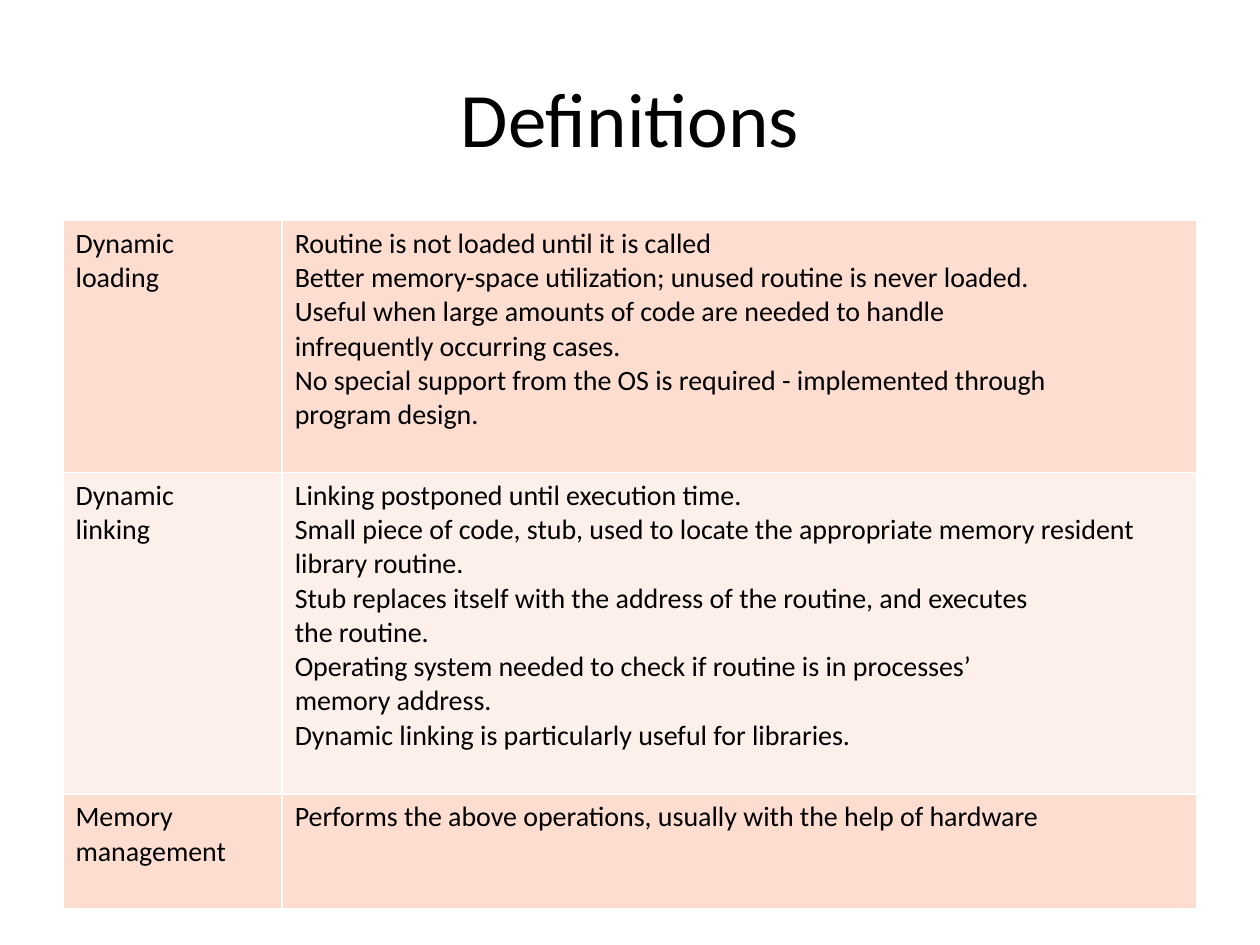
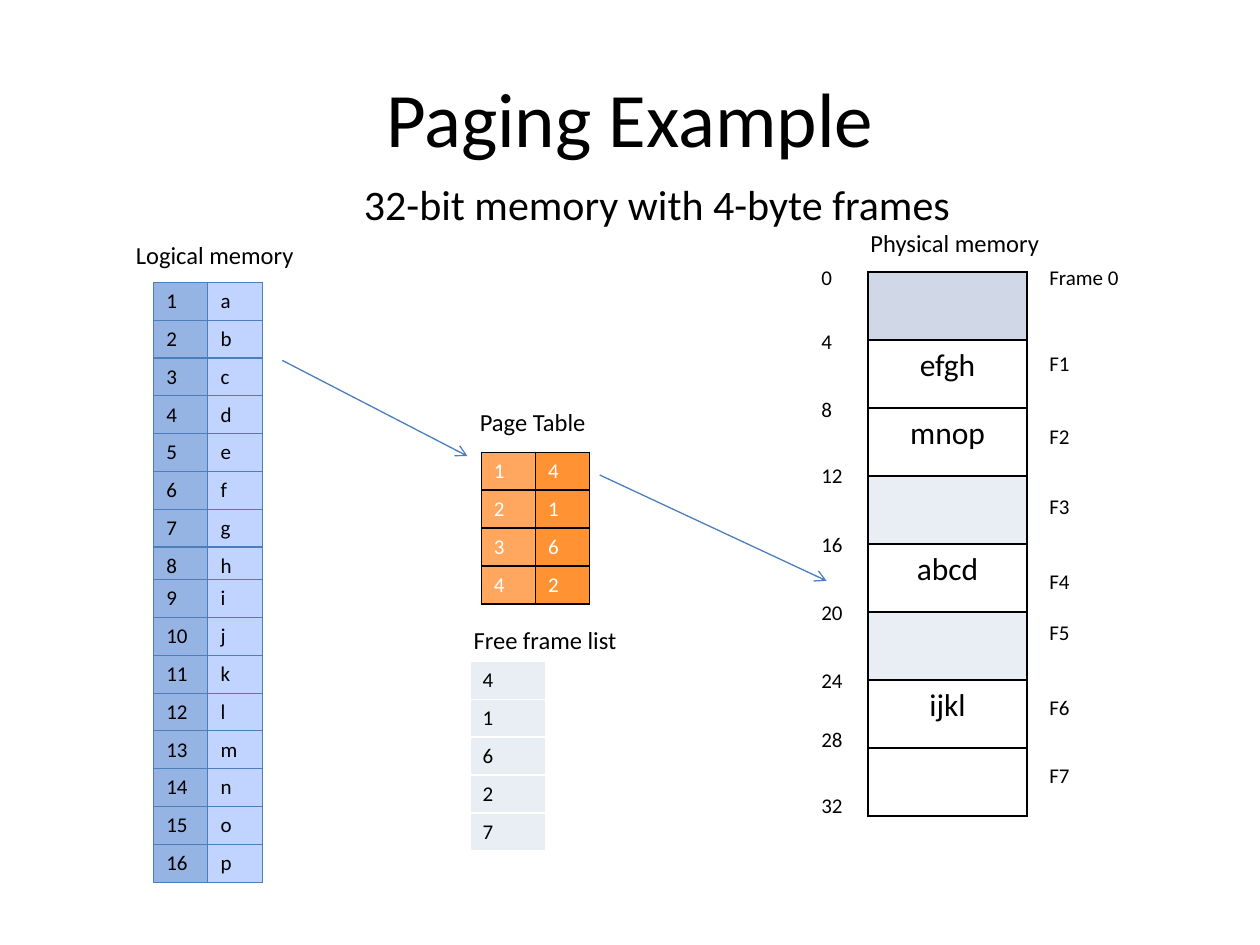
from pptx import Presentation
from pptx.dml.color import RGBColor as RGB
from pptx.enum.shapes import MSO_CONNECTOR as Conn
from pptx.enum.text import MSO_ANCHOR as Anchor, PP_ALIGN as Align
from pptx.oxml import parse_xml
from pptx.oxml.ns import nsdecls
from pptx.util import Inches, Pt

FONT = "Calibri"
BLACK = RGB(0x00, 0x00, 0x00)
WHITE = RGB(0xFF, 0xFF, 0xFF)
BLUE = RGB(0x4B, 0x7E, 0xBC)
PEACH = RGB(0xFC, 0xDD, 0xCF)
CREAM = RGB(0xFD, 0xEF, 0xE9)
SKY = RGB(0x95, 0xB3, 0xE3)
PALE = RGB(0xC0, 0xD4, 0xFF)
AMBER = RGB(0xFF, 0xA6, 0x5F)
ORANGE = RGB(0xFF, 0x92, 0x33)
STEEL = RGB(0xD0, 0xD8, 0xE8)
MIST = RGB(0xE9, 0xED, 0xF4)

TERMS = [
    ("Dynamic\nloading",
     "Routine is not loaded until it is called\n"
     "Better memory-space utilization; unused routine is never loaded.\n"
     "Useful when large amounts of code are needed to handle\n"
     "infrequently occurring cases.\n"
     "No special support from the OS is required - implemented through\n"
     "program design."),
    ("Dynamic\nlinking",
     "Linking postponed until execution time.\n"
     "Small piece of code, stub, used to locate the appropriate memory "
     "resident library routine.\n"
     "Stub replaces itself with the address of the routine, and executes\n"
     "the routine.\n"
     "Operating system needed to check if routine is in processes’\n"
     "memory address.\n"
     "Dynamic linking is particularly useful for libraries."),
    ("Memory\nmanagement",
     "Performs the above operations, usually with the help of hardware"),
]


class Deck:
    def __init__(self):
        self.prs = Presentation()
        self.prs.slide_width = Inches(10)
        self.prs.slide_height = Inches(7.5)
        self.slide = None

    def style(self, frame, size, color=BLACK, align=Align.LEFT):
        for para in frame.paragraphs:
            para.alignment = align
            for run in para.runs:
                run.font.name = FONT
                run.font.size = Pt(size)
                run.font.color.rgb = color

    def text(self, words, x, y, w, h, size, align=Align.LEFT, wrap=False):
        box = self.slide.shapes.add_textbox(
            Inches(x), Inches(y), Inches(w), Inches(h))
        frame = box.text_frame
        frame.word_wrap = wrap
        frame.text = words
        self.style(frame, size, align=align)
        return frame

    def page(self, title):
        self.slide = self.prs.slides.add_slide(self.prs.slide_layouts[6])
        frame = self.text(title, 0.5, 0.3, 9, 1.25, 44, Align.CENTER, True)
        frame.vertical_anchor = Anchor.MIDDLE

    def border(self, cell, color, width):
        props = cell._tc.get_or_add_tcPr()
        for i, side in enumerate("LRTB"):
            props.insert(i, parse_xml(
                f'<a:ln{side} {nsdecls("a")} w="{Pt(width)}"><a:solidFill>'
                f'<a:srgbClr val="{color}"/></a:solidFill></a:ln{side}>'))

    def table(self, data, x, y, cols, rows, fill, size=12, color=BLACK,
              edge=BLACK, width=1, align=Align.LEFT):
        """fill(row, col) gives the colour of a cell."""
        grid = self.slide.shapes.add_table(
            len(data), len(cols), Inches(x), Inches(y),
            Inches(sum(cols)), Inches(sum(rows))).table
        grid.first_row = grid.horz_banding = False
        for col, w in zip(grid.columns, cols):
            col.width = Inches(w)
        for r, (row, h) in enumerate(zip(data, rows)):
            grid.rows[r].height = Inches(h)
            for c, words in enumerate(row):
                cell = grid.cell(r, c)
                cell.text_frame.text = words
                self.style(cell.text_frame, size, color, align)
                cell.fill.solid()
                cell.fill.fore_color.rgb = fill(r, c)
                self.border(cell, edge, width)

    def arrow(self, x1, y1, x2, y2):
        line = self.slide.shapes.add_connector(
            Conn.STRAIGHT, Inches(x1), Inches(y1), Inches(x2), Inches(y2))
        line.line.color.rgb = BLUE
        line.line.width = Pt(0.75)
        props = line._element.spPr
        props.get_or_add_ln().append(
            parse_xml(f'<a:tailEnd {nsdecls("a")} type="arrow"/>'))
        props.append(parse_xml(f'<a:effectLst {nsdecls("a")}/>'))


def terms(deck):
    deck.page("Definitions")
    deck.table(TERMS, 0.5, 1.75, [1.74, 7.26], [2, 2.55, 0.91],
               lambda r, c: CREAM if r % 2 else PEACH, 16, edge=WHITE)


def paging(deck):
    deck.page("Paging Example")
    sub = deck.text("32-bit memory with 4-byte frames",
                    2.79, 1.37, 4.97, 0.66, 24, wrap=True)
    sub.paragraphs[0].space_before = Pt(4.8)

    # Logical memory: four pages of four bytes
    pair = [0.43, 0.43]
    quad = [0.3] * 4
    cells = [(str(n), char) for n, char in enumerate("abcdefghijklmnop", 1)]
    for n, top in enumerate([2.24, 3.44, 4.6, 5.8]):
        deck.table(cells[4 * n:4 * n + 4], 1.22, top, pair, quad,
                   lambda r, c: (SKY, PALE)[c], edge=BLUE, width=0.75)

    # Page table and free frames
    deck.table(["14", "21", "36", "42"], 3.82, 3.59, pair, quad,
               lambda r, c: (AMBER, ORANGE)[c], color=WHITE)
    deck.table("41627", 3.73, 5.25, [0.6], [0.3] * 5,
               lambda r, c: MIST, edge=WHITE)

    # Physical memory: eight frames
    frames = ["", "efgh", "mnop", "", "abcd", "", "ijkl", ""]
    fills = {0: STEEL, 3: MIST, 5: MIST}
    deck.table([[f] for f in frames], 6.89, 2.16, [1.26], [0.54] * 8,
               lambda r, c: fills.get(r, WHITE), 18, align=Align.CENTER)

    # Headings
    for words, x, y, w in [("Logical memory", 0.98, 1.86, 1.46),
                           ("Page Table", 3.71, 3.18, 1.05),
                           ("Free frame list", 3.66, 4.91, 1.35),
                           ("Physical memory", 6.81, 1.76, 1.55)]:
        deck.text(words, x, y, w, 0.34, 14)

    # Frame names and byte addresses
    tops = [2.05, 2.73, 3.31, 3.87, 4.46, 4.87, 5.46, 6]
    for n, y in enumerate(tops):
        name, w = (f"F{n}", 0.36) if n else ("Frame 0", 0.76)
        deck.text(name, 8.23, y, w, 0.3, 12)
    tops = [2.05, 2.56, 3.1, 3.62, 4.17, 4.71, 5.25, 5.72, 6.24]
    for n, y in enumerate(tops):
        deck.text(str(4 * n), 6.42, y, 0.37 if n > 2 else 0.29, 0.3, 12)

    # Lookup arrows
    deck.arrow(2.24, 2.86, 3.71, 3.62)
    deck.arrow(4.76, 3.77, 6.56, 4.61)


def main():
    deck = Deck()
    terms(deck)
    paging(deck)
    deck.prs.save("out.pptx")


if __name__ == "__main__":
    main()
